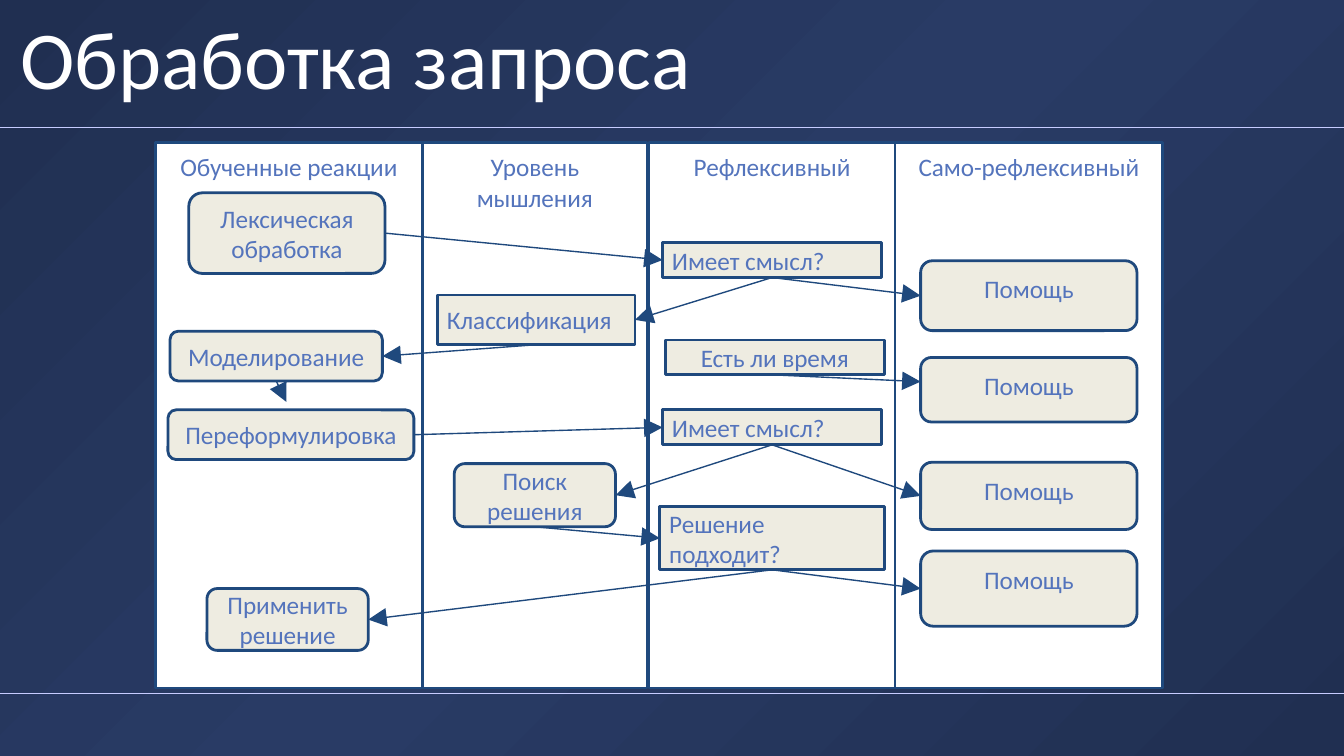
from lxml.etree import SubElement
from pptx import Presentation
from pptx.dml.color import RGBColor
from pptx.enum.shapes import MSO_CONNECTOR as Connector, MSO_SHAPE as Preset
from pptx.enum.text import MSO_ANCHOR as Anchor, MSO_AUTO_SIZE as AutoSize, PP_ALIGN as Align
from pptx.oxml.ns import qn
from pptx.util import Inches, Pt

COLUMNS, ROWS = 100, 56.25
CELL = 0.1
NAVY, CREAM, WHITE, TEXT_BLUE, RULE = "1F497D", "EEECE1", "FFFFFF", "5474BC", "C7CCFF"
TOP, LEFT, BOTTOM, RIGHT = range(4)

LANES = [
    ("Само-рефлексивный", 66.6, 19.9),
    ("Обученные реакции", 11.6, 19.8),
    ("Уровень мышления", 31.45, 16.7),
    ("Рефлексивный", 48.3, 18.3),
]
ROUNDED_STEPS = {
    "lexical": ("Лексическая обработка", 14.05, 14.35, 14.6, 6),
    "modelling": ("Моделирование", 12.65, 24.65, 15.8, 3.7),
    "rephrasing": ("Переформулировка", 12.5, 30.5, 18.3, 3.7),
    "search": ("Поиск решения", 33.8, 34.5, 12, 4.7),
    "apply": ("Применить решение", 15.4, 43.8, 12, 4.6),
}
QUESTIONS = {
    "classification": ("Классификация", 32.55, 21.95, 14.7, 3.7, Align.LEFT),
    "first sense": ("Имеет смысл?", 49.3, 18.05, 16.3, 2.6, Align.LEFT),
    "time": ("Есть ли время", 49.5, 25.3, 16.3, 2.6, Align.CENTER),
    "second sense": ("Имеет смысл?", 49.3, 30.5, 16.3, 2.6, Align.LEFT),
    "suitable": ("Решение подходит?", 49.1, 37.7, 16.7, 4.7, Align.LEFT),
}
HELP_LEFT, HELP_WIDTH = 68.5, 16.1
HELP_ROWS = {
    "first sense": (19.4, 5.2),
    "time": (26.6, 4.8),
    "second sense": (34.4, 5),
    "suitable": (41, 5.6),
}
FLOWS = [
    ("lexical", RIGHT, "first sense", LEFT),
    ("first sense", BOTTOM, "classification", RIGHT),
    ("classification", BOTTOM, "modelling", RIGHT),
    ("rephrasing", RIGHT, "second sense", LEFT),
    ("second sense", BOTTOM, "search", RIGHT),
    ("search", BOTTOM, "suitable", LEFT),
    ("suitable", BOTTOM, "apply", RIGHT),
]
LOOSE_ENDS = {"modelling": (21.3, 29.9), "time": (HELP_LEFT, 28.4)}


def grid(*cells):
    return [Inches(cell * CELL) for cell in cells]


def color(value):
    return RGBColor.from_string(value)


def write(shape, text, size, text_color, align, anchor):
    frame = shape.text_frame
    frame.word_wrap = True
    frame.auto_size = AutoSize.NONE
    frame.vertical_anchor = anchor
    frame.margin_left = frame.margin_right = Inches(0.07)
    frame.margin_top = frame.margin_bottom = Inches(0.07)
    paragraph = frame.paragraphs[0]
    paragraph.alignment = align
    run = paragraph.add_run()
    run.text = text
    run.font.size = Pt(size)
    run.font.name = "Calibri"
    run.font.color.rgb = color(text_color)


def add_box(slide, preset, text, place, fill=CREAM, align=Align.CENTER, anchor=Anchor.MIDDLE):
    shape = slide.shapes.add_shape(preset, *grid(*place))
    shape.shadow.inherit = False
    shape.fill.solid()
    shape.fill.fore_color.rgb = color(fill)
    shape.line.color.rgb = color(NAVY)
    shape.line.width = Pt(1.5)
    write(shape, text, 13.5, TEXT_BLUE, align, anchor)
    return shape


def add_line(slide, start, end, line_color, width):
    line = slide.shapes.add_connector(Connector.STRAIGHT, *grid(*start, *end))
    line.line.color.rgb = color(line_color)
    line.line.width = Pt(width)
    SubElement(line._element.spPr, qn("a:effectLst"))
    return line


def add_arrow(slide, source, source_site, target=None, target_site=None, end=(0, 0)):
    arrow = add_line(slide, (0, 0), end, NAVY, 0.75)
    arrow.begin_connect(source, source_site)
    if target is not None:
        arrow.end_connect(target, target_site)
    outline = arrow.line._get_or_add_ln()
    SubElement(outline, qn("a:tailEnd"), type="triangle", w="lg", len="lg")


def paint_background(slide):
    slide.background.fill.gradient()
    gradient = slide.element.find(".//" + qn("a:gradFill"))
    for child in list(gradient):
        gradient.remove(child)
    stops = SubElement(gradient, qn("a:gsLst"))
    for position, value in ((0, "202F51"), (50, "293B65"), (100, "202F51")):
        stop = SubElement(stops, qn("a:gs"), pos=str(position * 1000))
        SubElement(stop, qn("a:srgbClr"), val=value)
    circle = SubElement(gradient, qn("a:path"), path="circle")
    SubElement(circle, qn("a:fillToRect"), l="100000", t="100000")


def add_title(slide, text):
    title = slide.shapes.title
    title.left, title.top, title.width, title.height = grid(0.8, 0.7, 98.4, 7.9)
    write(title, text, 44, WHITE, Align.LEFT, Anchor.BOTTOM)


def main():
    presentation = Presentation()
    presentation.slide_width, presentation.slide_height = grid(COLUMNS, ROWS)
    slide = presentation.slides.add_slide(presentation.slide_layouts[5])
    paint_background(slide)
    add_title(slide, "Обработка запроса")
    for row in (9.45, 51.6):
        add_line(slide, (0, row), (COLUMNS, row), RULE, 0.5)
    for text, left, width in LANES:
        add_box(slide, Preset.RECTANGLE, text, (left, 10.6, width, 40.6), WHITE, anchor=Anchor.TOP)

    steps = {}
    for name, (text, *place) in ROUNDED_STEPS.items():
        steps[name] = add_box(slide, Preset.ROUNDED_RECTANGLE, text, place)
    for name, (text, *place, align) in QUESTIONS.items():
        steps[name] = add_box(slide, Preset.RECTANGLE, text, place, align=align)
    for name, (top, height) in HELP_ROWS.items():
        place = (HELP_LEFT, top, HELP_WIDTH, height)
        help_box = add_box(slide, Preset.ROUNDED_RECTANGLE, "Помощь", place, anchor=Anchor.TOP)
        if name not in LOOSE_ENDS:
            add_arrow(slide, steps[name], BOTTOM, help_box, LEFT)
    for source, source_site, target, target_site in FLOWS:
        add_arrow(slide, steps[source], source_site, steps[target], target_site)
    for name, end in LOOSE_ENDS.items():
        add_arrow(slide, steps[name], BOTTOM, end=end)
    presentation.save("out.pptx")


main()
